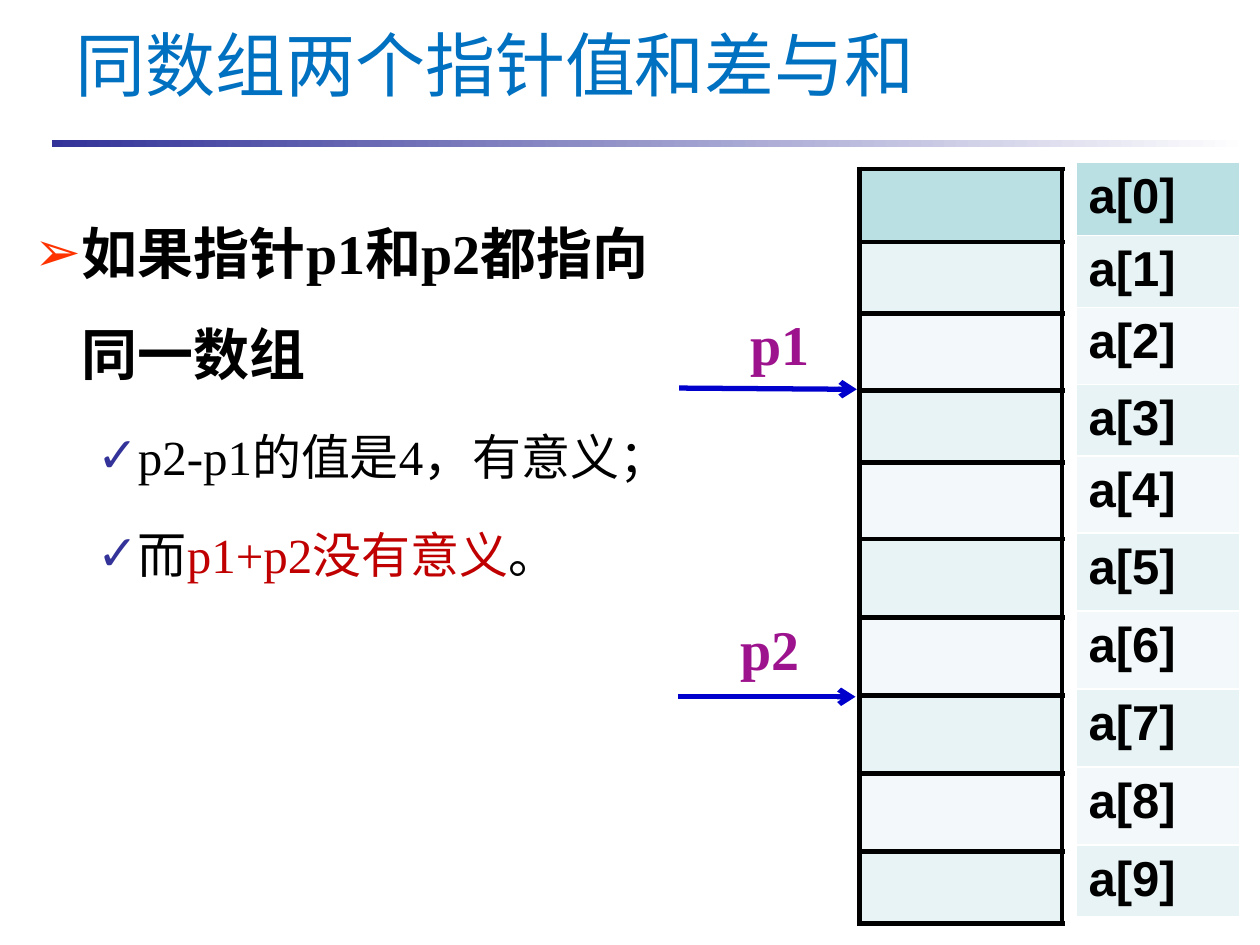
from typing import NamedTuple

from lxml.etree import SubElement
from pptx import Presentation
from pptx.dml.color import RGBColor
from pptx.enum.shapes import MSO_CONNECTOR, MSO_SHAPE
from pptx.enum.text import MSO_ANCHOR, MSO_AUTO_SIZE, PP_ALIGN
from pptx.oxml.ns import qn
from pptx.util import Inches, Pt

COLORS = {
    "title": "0070C0", "text": "000000", "warning": "C00000",
    "rule": "333399", "paper": "FFFFFF", "arrow_bullet": "FF3300",
    "check": "333399", "pointer": "9D138D", "arrow": "0000CC",
    "first": "BBE0E3", "odd": "E7F3F4", "even": "F3F9FA",
}
SERIF, SANS, CJK = "Times New Roman", "Arial", "Noto Sans CJK SC"
ROW_HEIGHTS = (0.58, 0.57, 0.61, 0.57, 0.61, 0.62, 0.62, 0.62, 0.62, 0.57)


class Box(NamedTuple):
    left: float
    top: float
    width: float
    height: float


class Span(NamedTuple):
    text: str
    color: str = "text"


class Point(NamedTuple):
    level: int
    spans: tuple[Span, ...]


class BulletStyle(NamedTuple):
    char: str
    color: str
    margin: float
    hang: float
    size: int
    bold: bool


class Pointer(NamedTuple):
    name: str
    label: Box
    start: tuple[float, float]
    end: tuple[float, float]


BULLETS = (
    BulletStyle("➢", "arrow_bullet", 0.38, 0.38, 32, True),
    BulletStyle("✓", "check", 0.81, 0.31, 28, False),
)
POINTS = (
    Point(0, (Span("如果指针p1和p2都指向同一数组"),)),
    Point(1, (Span("p2-p1的值是4，有意义；"),)),
    Point(1, (Span("而"), Span("p1+p2没有意义", "warning"), Span("。"))),
)
POINTERS = (
    Pointer("p1", Box(5.86, 2.46, 0.78, 0.53), (5.39, 3.08), (6.8, 3.09)),
    Pointer("p2", Box(5.78, 4.88, 0.94, 0.53), (5.38, 5.53), (6.79, 5.53)),
)


def rgb(name: str) -> RGBColor:
    return RGBColor.from_string(COLORS[name])


def emu(box: tuple[float, ...]) -> list[int]:
    return [Inches(length) for length in box]


def move(shape, box: Box) -> None:
    shape.left, shape.top, shape.width, shape.height = emu(box)


def set_font(font, name: str, size: int, color: str, bold: bool = False) -> None:
    font.name, font.size, font.bold = name, Pt(size), bold
    font.color.rgb = rgb(color)


def add_rule(slide) -> None:
    rule = slide.shapes.add_shape(MSO_SHAPE.RECTANGLE, *emu(Box(0.41, 1.11, 9.51, 0.06)))
    rule.shadow.inherit = False
    rule.line.fill.background()
    rule.fill.gradient()
    rule.fill.gradient_angle = 0
    for stop, position, color in zip(rule.fill.gradient_stops, (0, 1), ("rule", "paper")):
        stop.position = position
        stop.color.rgb = rgb(color)


def write_title(title) -> None:
    move(title, Box(0.5, 0.18, 8.58, 0.65))
    frame = title.text_frame
    frame.text = "同数组两个指针值和差与和"
    frame.auto_size = MSO_AUTO_SIZE.NONE
    frame.vertical_anchor = MSO_ANCHOR.MIDDLE
    frame.paragraphs[0].alignment = PP_ALIGN.LEFT
    set_font(frame.paragraphs[0].font, CJK, 40, "title")


def add_bullet(paragraph, style: BulletStyle) -> None:
    properties = paragraph._p.get_or_add_pPr()
    properties.set("marL", str(Inches(style.margin)))
    properties.set("indent", str(-Inches(style.hang)))
    color = SubElement(properties, qn("a:buClr"))
    SubElement(color, qn("a:srgbClr"), val=COLORS[style.color])
    SubElement(properties, qn("a:buFont"), typeface=SANS)
    SubElement(properties, qn("a:buChar"), char=style.char)


def write_points(body) -> None:
    move(body, Box(0.17, 1.42, 5.23, 4.92))
    frame = body.text_frame
    frame.auto_size = MSO_AUTO_SIZE.NONE
    for index, point in enumerate(POINTS):
        style = BULLETS[point.level]
        paragraph = frame.add_paragraph() if index else frame.paragraphs[0]
        paragraph.level = point.level
        add_bullet(paragraph, style)
        paragraph.line_spacing = 1.5
        paragraph.space_before = Pt(0.2 * style.size if index else 0)
        set_font(paragraph.font, SERIF, style.size, "text", style.bold)
        for span in point.spans:
            run = paragraph.add_run()
            run.text = span.text
            if span.color != "text":
                run.font.color.rgb = rgb(span.color)


def add_array_column(slide, left: float, top: float, width: float):
    """Add a one-column table with a shaded row for each array element."""
    box = Box(left, top, width, sum(ROW_HEIGHTS))
    table = slide.shapes.add_table(len(ROW_HEIGHTS), 1, *emu(box)).table
    table.first_row = table.horz_banding = False
    for index, height in enumerate(ROW_HEIGHTS):
        table.rows[index].height = Inches(height)
        fill = table.cell(index, 0).fill
        fill.solid()
        fill.fore_color.rgb = rgb("first" if index == 0 else "odd" if index % 2 else "even")
    return table


def add_borders(cell) -> None:
    properties = cell._tc.get_or_add_tcPr()
    for position, side in enumerate(("a:lnL", "a:lnR", "a:lnT", "a:lnB")):
        line = properties.makeelement(qn(side), {"w": str(Pt(3))})
        fill = SubElement(line, qn("a:solidFill"))
        SubElement(fill, qn("a:srgbClr"), val=COLORS["text"])
        properties.insert(position, line)


def add_array(slide) -> None:
    names = add_array_column(slide, 8.54, 1.29, 1.3)
    for index, cell in enumerate(names.iter_cells()):
        cell.text = f"a[{index}]"
        cell.margin_top = Inches(0.13)
        paragraph = cell.text_frame.paragraphs[0]
        paragraph.line_spacing = 0.8
        set_font(paragraph.font, SANS, 28, "text", True)
    for cell in add_array_column(slide, 6.82, 1.34, 1.61).iter_cells():
        add_borders(cell)


def add_pointer(slide, pointer: Pointer) -> None:
    frame = slide.shapes.add_textbox(*emu(pointer.label)).text_frame
    frame.word_wrap = True
    frame.margin_top = Inches(0.1)
    frame.text = pointer.name
    paragraph = frame.paragraphs[0]
    paragraph.line_spacing = 0.8
    set_font(paragraph.font, SERIF, 32, "pointer", True)

    arrow = slide.shapes.add_connector(MSO_CONNECTOR.STRAIGHT, *emu(pointer.start + pointer.end))
    arrow.line.width = Pt(3)
    arrow.line.color.rgb = rgb("arrow")
    SubElement(arrow.line._get_or_add_ln(), qn("a:tailEnd"), type="arrow")
    SubElement(arrow._element.spPr, qn("a:effectLst"))


def main() -> None:
    deck = Presentation()
    deck.slide_width, deck.slide_height = Inches(10), Inches(7.5)
    slide = deck.slides.add_slide(deck.slide_layouts[1])
    add_rule(slide)
    write_title(slide.shapes.title)
    write_points(slide.placeholders[1])
    add_array(slide)
    for pointer in POINTERS:
        add_pointer(slide, pointer)
    deck.save("out.pptx")


if __name__ == "__main__":
    main()
